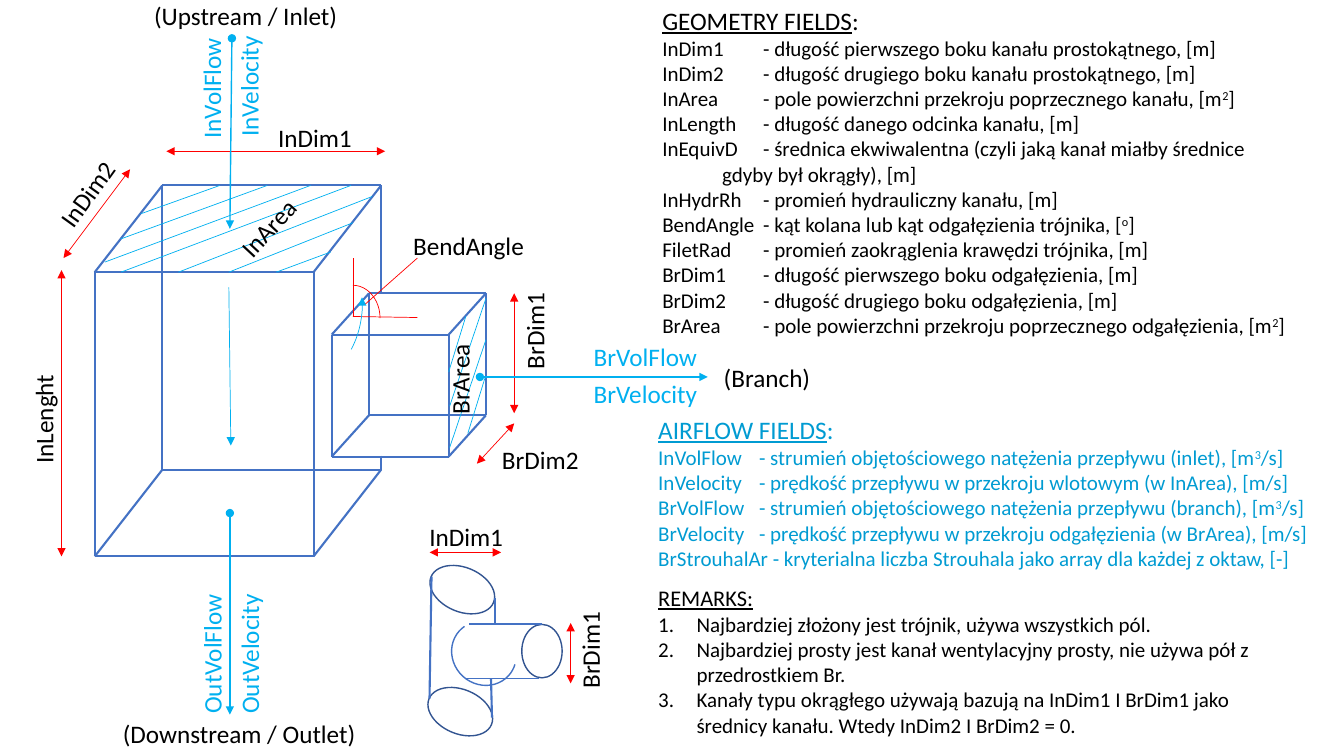
from lxml import etree
from pptx import Presentation
from pptx import util as u
from pptx.dml.color import RGBColor
from pptx.enum import shapes, text
from pptx.oxml import ns

BLACK = RGBColor(0x00, 0x00, 0x00)
BLUE = RGBColor(0x44, 0x72, 0xC4)
NAVY = RGBColor(0x32, 0x54, 0x91)
SKY = RGBColor(0x00, 0xB0, 0xF0)
TEAL = RGBColor(0x00, 0x9B, 0xD2)
RED = RGBColor(0xFF, 0x00, 0x00)

GEOMETRY = [
    "InDim1\t- długość pierwszego boku kanału prostokątnego, [m]",
    "InDim2\t- długość drugiego boku kanału prostokątnego, [m]",
    "InArea\t- pole powierzchni przekroju poprzecznego kanału, [m^2^]",
    "InLength\t- długość danego odcinka kanału, [m]",
    "InEquivD\t- średnica ekwiwalentna (czyli jaką kanał miałby średnice",
    "\t  gdyby był okrągły), [m]",
    "InHydrRh\t- promień hydrauliczny kanału, [m]",
    "BendAngle\t- kąt kolana lub kąt odgałęzienia trójnika, [^o^]",
    "FiletRad\t- promień zaokrąglenia krawędzi trójnika, [m]",
    "BrDim1\t- długość pierwszego boku odgałęzienia, [m]",
    "BrDim2\t- długość drugiego boku odgałęzienia, [m]",
    "BrArea\t- pole powierzchni przekroju poprzecznego odgałęzienia, [m^2^]",
]
AIRFLOW = [
    "InVolFlow\t- strumień objętościowego natężenia przepływu (inlet), [m^3^/s]",
    "InVelocity\t- prędkość przepływu w przekroju wlotowym (w InArea), [m/s]",
    "BrVolFlow\t- strumień objętościowego natężenia przepływu (branch), [m^3^/s]",
    "BrVelocity\t- prędkość przepływu w przekroju odgałęzienia (w BrArea), [m/s]",
    "BrStrouhalAr - kryterialna liczba Strouhala jako array dla każdej z oktaw, [-]",
]
REMARKS = [
    "Najbardziej złożony jest trójnik, używa wszystkich pól.",
    "Najbardziej prosty jest kanał wentylacyjny prosty, nie używa pół z przedrostkiem Br.",
    "Kanały typu okrągłego używają bazują na InDim1 I BrDim1 jako średnicy kanału. "
    "Wtedy InDim2 I BrDim2 = 0.",
]
LABELS = [
    ("InLenght", -0.15, 3.92, 1.16, 270, BLACK),
    ("BendAngle", 4, 2.24, 1.37, 0, BLACK),
    ("InDim2", 0.35, 1.63, 1.16, 305.8, BLACK),
    ("InDim1", 2.66, 1.16, 1.16, 0, BLACK),
    ("BrDim1", 4.72, 2.98, 1.16, 270, BLACK),
    ("BrDim2", 4.88, 4.36, 1.16, 0, BLACK),
    ("InArea", 2.18, 1.95, 1.16, 312.8, BLACK),
    ("BrArea", 3.98, 3.43, 1.16, 270, BLACK),
    ("OutVolFlow", 1.34, 6.22, 1.52, 270, SKY),
    ("OutVelocity", 1.71, 6.22, 1.52, 270, SKY),
    ("InVolFlow", 1.44, 0.62, 1.31, 270, SKY),
    ("InVelocity", 1.81, 0.6, 1.31, 270, SKY),
    ("BrVolFlow", 5.79, 3.34, 1.31, 0, SKY),
    ("BrVelocity", 5.79, 3.7, 1.31, 0, SKY),
    ("(Upstream / Inlet)", 1.43, -0.05, 2.23, 0, BLACK),
    ("(Downstream / Outlet)", 1.12, 7.08, 2.69, 0, BLACK),
    ("(Branch)", 7.08, 3.55, 1.9, 0, BLACK),
    ("InDim1", 4.16, 5.12, 1.16, 0, BLACK),
    ("BrDim1", 5.27, 6.15, 1.16, 270, BLACK),
]
HATCHING = [
    (2.18, 1.84, 1.4, 2.12), (2.65, 1.84, 1.2, 2.37), (3.08, 1.84, 1.04, 2.6),
    (3.48, 1.84, 1.2, 2.7), (3.69, 1.95, 1.77, 2.7), (3.5, 2.21, 2.27, 2.7),
    (3.28, 2.5, 2.74, 2.7), (4.62, 3.14, 4.45, 3.69), (4.82, 2.96, 4.46, 4.03),
    (4.82, 3.37, 4.46, 4.44), (4.81, 3.75, 4.64, 4.3),
]
DIMENSIONS = [
    (0.61, 2.68, 0.61, 5.52), (0.63, 2.56, 1.29, 1.68), (1.65, 1.5, 3.82, 1.5),
    (5.1, 2.91, 5.1, 4.1), (5.1, 4.2, 4.73, 4.6), (5.66, 6.18, 5.66, 6.78),
    (4.26, 5.48, 4.97, 5.48),
]
ANGLE_LINES = [(3.5, 2.56, 3.5, 3.14), (3.5, 3.14, 4.14, 3.15), (3.62, 3.02, 4.14, 2.56)]
FLOWS = [(2.28, 5.09, 2.28, 7.09), (2.3, 0.38, 2.28, 2.27), (4.76, 3.74, 7.02, 3.74)]
PIPE_WALLS = [(4.28, 5.72, 4.26, 6.93), (4.87, 6.73, 4.88, 7.12), (4.91, 5.93, 4.91, 6.19)]
BRANCH_WALLS = [(5.38, 6.19, 4.65, 6.19), (5.35, 6.73, 4.62, 6.73)]
PIPE_ENDS = [(4.25, 5.63, 0.67, 0.44, 22.5), (4.23, 6.84, 0.67, 0.44, 22.5),
             (5.11, 6.26, 0.53, 0.4, 90)]


def style_line(sp, color, width, head=None, tail=None):
    sp.line.color.rgb = color
    sp.line.width = u.Pt(width)
    ln = sp.line._get_or_add_ln()
    for tag, kind in (("a:headEnd", head), ("a:tailEnd", tail)):
        if kind:
            etree.SubElement(ln, ns.qn(tag), type=kind)


def add_line(s, ends, color, width, head=None, tail=None):
    sp = s.shapes.add_connector(shapes.MSO_CONNECTOR.STRAIGHT, *map(u.Inches, ends))
    style_line(sp, color, width, head, tail)
    etree.SubElement(sp._element.spPr, ns.qn("a:effectLst"))


def add_outline(s, kind, box, color, width, rotation=0, angles=(), head=None):
    sp = s.shapes.add_shape(kind, *map(u.Inches, box))
    sp.rotation = rotation
    sp.shadow.inherit = False
    sp.fill.background()
    for i, angle in enumerate(angles):
        sp.adjustments[i] = angle * 0.6
    style_line(sp, color, width, head)


def add_duct(s, x, y, w, h, dx, dy, hidden=None):
    for ox, oy in ((0, 0), (dx, dy)):
        left, top, right, bottom = x + ox, y + oy, x + w + ox, y + h + oy
        for level in (top, bottom):
            add_line(s, (left, level, right, level), BLUE, 1.5)
        add_line(s, (left, top, left, bottom), BLUE, 1.5)
        if ox and hidden:
            add_line(s, (right, top, right, hidden[0]), BLUE, 1.5)
            add_line(s, (right, hidden[1], right, bottom), BLUE, 1.5)
        else:
            add_line(s, (right, top, right, bottom), BLUE, 1.5)
    for cx in (x, x + w):
        for cy in (y, y + h):
            add_line(s, (cx, cy, cx + dx, cy + dy), BLUE, 1.5)


def add_run(p, content, size=15, color=BLACK, underline=False, raised=False):
    r = p.add_run()
    r.text = content
    r.font.name = "Calibri"
    r.font.size = u.Pt(size)
    r.font.color.rgb = color
    r.font.underline = underline
    if raised:
        r._r.get_or_add_rPr().set("baseline", "30000")


def add_textbox(s, x, y, w, h, rotation=0):
    sp = s.shapes.add_textbox(*map(u.Inches, (x, y, w, h)))
    sp.rotation = rotation
    tf = sp.text_frame
    tf.word_wrap = True
    tf.auto_size = text.MSO_AUTO_SIZE.SHAPE_TO_FIT_TEXT
    return tf


def add_section(s, box, title, lines, color=BLACK, size=18, colon=":", numbered=False):
    tf = add_textbox(s, *box)
    add_run(tf.paragraphs[0], title, size, color, underline=True)
    if colon:
        add_run(tf.paragraphs[0], colon, size, color)
    for line in lines:
        p = tf.add_paragraph()
        for i, part in enumerate(line.split("^")):
            add_run(p, part, color=color, raised=i % 2 == 1)
        if numbered:
            pPr = p._p.get_or_add_pPr()
            indent = u.Inches(0.38)
            pPr.set("marL", str(indent))
            pPr.set("indent", str(-indent))
            etree.SubElement(pPr, ns.qn("a:buAutoNum"), type="arabicPeriod")


def main():
    prs = Presentation()
    prs.slide_width, prs.slide_height = u.Inches(13.33), u.Inches(7.5)
    s = prs.slides.add_slide(prs.slide_layouts[6])
    arc, oval = shapes.MSO_SHAPE.ARC, shapes.MSO_SHAPE.OVAL

    add_duct(s, 0.94, 2.7, 2.17, 2.82, 0.67, -0.86, hidden=(2.91, 4.52))
    add_duct(s, 3.29, 3.32, 1.16, 1.21, 0.37, -0.41)
    for ends in HATCHING:
        add_line(s, ends, SKY, 0.5)
    for ends in DIMENSIONS:
        add_line(s, ends, RED, 0.5, "triangle", "triangle")
    for ends in ANGLE_LINES:
        add_line(s, ends, RED, 0.5)
    add_outline(s, arc, (3.23, 2.83, 0.54, 0.65), RED, 0.5)
    for ends in FLOWS:
        add_line(s, ends, SKY, 1, "oval", "triangle")
    add_outline(s, arc, (2.28, 2.27, 1.31, 1.59), SKY, 0.5, 188, (162, 208.14), "triangle")
    add_line(s, (2.27, 2.85, 2.29, 4.42), SKY, 0.5, tail="triangle")

    for *box, rotation in PIPE_ENDS:
        add_outline(s, oval, box, NAVY, 1, rotation)
    for ends in PIPE_WALLS:
        add_line(s, ends, BLUE, 1.5)
    for ends in BRANCH_WALLS:
        add_line(s, ends, BLUE, 1)
    add_outline(s, arc, (4.47, 6.17, 0.66, 0.62), BLUE, 1, 222.2, (157.6, 11.87))

    for label, x, y, w, rotation, color in LABELS:
        tf = add_textbox(s, x, y, w, 0.4, rotation)
        add_run(tf.paragraphs[0], label, 18, color)
    add_section(s, (6.47, 0, 6.51, 3.69), "GEOMETRY FIELDS", GEOMETRY)
    add_section(s, (6.43, 4.06, 6.75, 1.92), "AIRFLOW FIELDS", AIRFLOW, TEAL)
    add_section(s, (6.43, 5.75, 6.51, 1.63), "REMARKS:", REMARKS,
                size=16, colon="", numbered=True)
    prs.save("out.pptx")


if __name__ == "__main__":
    main()
